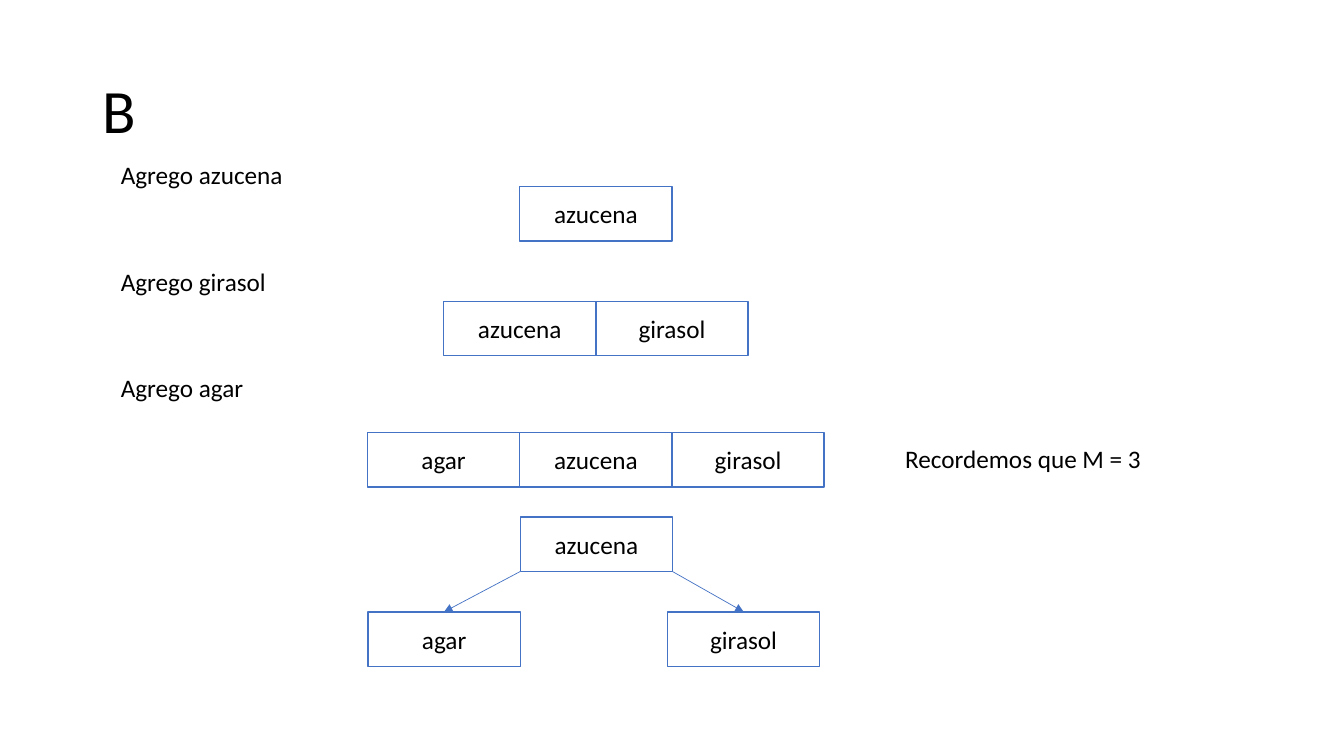
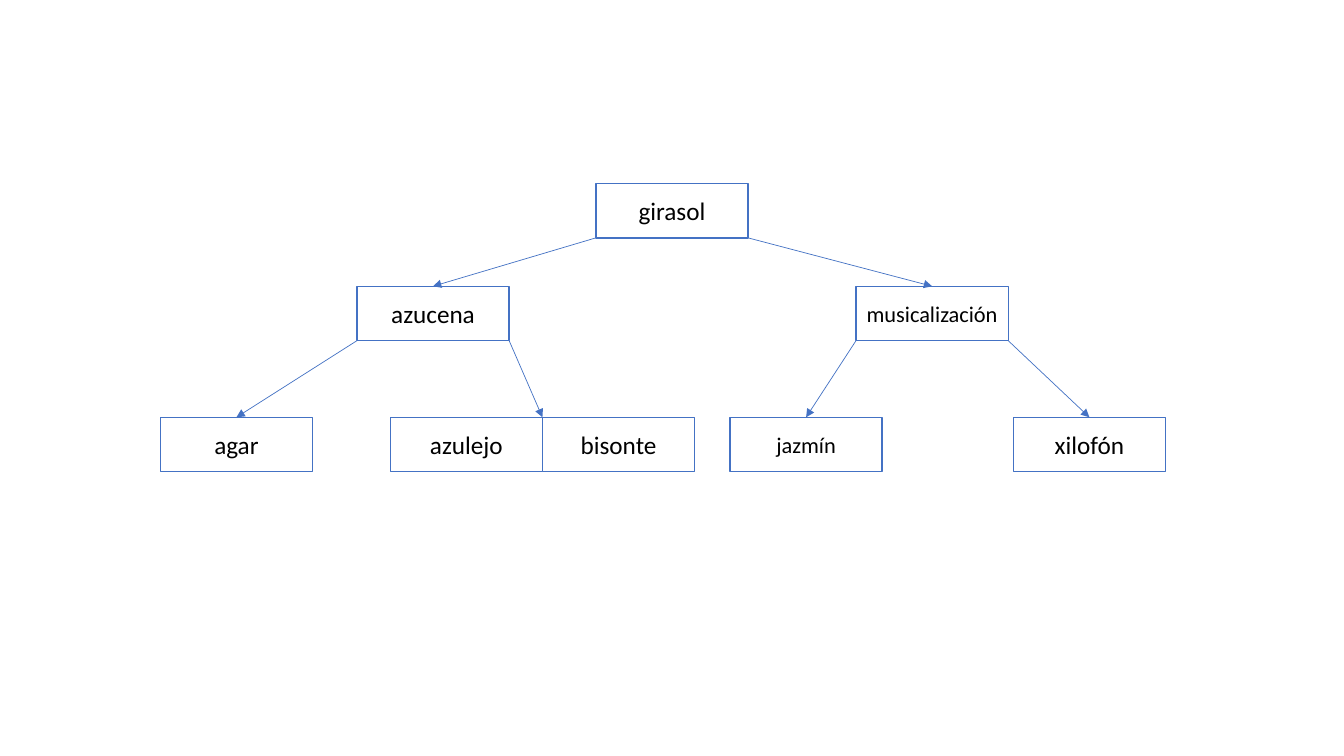
from pptx import Presentation
from pptx.dml.color import RGBColor
from pptx.enum import shapes, text
from pptx.oxml import parse_xml
from pptx.oxml.ns import nsdecls, qn
from pptx.util import Inches, Pt

FONT = "Calibri"
BLACK, WHITE, BLUE = "000000", "FFFFFF", "4472C4"
KEY_WIDTH, KEY_HEIGHT = 1.51, 0.54


def color(hex_value):
    return RGBColor.from_string(hex_value)


def style_paragraph(paragraph, words, size):
    paragraph.text = words
    paragraph.font.name = FONT
    paragraph.font.size = Pt(size)
    paragraph.font.color.rgb = color(BLACK)


def add_label(slide, words, left, top, width):
    box = slide.shapes.add_textbox(Inches(left), Inches(top), Inches(width), Inches(0.4))
    box.text_frame.word_wrap = True
    box.text_frame.auto_size = text.MSO_AUTO_SIZE.SHAPE_TO_FIT_TEXT
    style_paragraph(box.text_frame.paragraphs[0], words, 18)


def add_title(slide, words):
    box = slide.shapes.add_textbox(Inches(0.92), Inches(0.4), Inches(11.5), Inches(1.45))
    box.text_frame.word_wrap = True
    box.text_frame.vertical_anchor = text.MSO_ANCHOR.MIDDLE
    paragraph = box.text_frame.paragraphs[0]
    paragraph.line_spacing = 0.9
    style_paragraph(paragraph, words, 44)


def add_node(slide, keys, left, top, size=18):
    """Draw a B-tree node as adjoining key boxes; return its left, top and width."""
    for index, key in enumerate(keys):
        box = slide.shapes.add_shape(
            shapes.MSO_SHAPE.RECTANGLE, Inches(left + index * KEY_WIDTH), Inches(top),
            Inches(KEY_WIDTH), Inches(KEY_HEIGHT))
        box.shadow.inherit = False
        box.fill.solid()
        box.fill.fore_color.rgb = color(WHITE)
        box.line.color.rgb = color(BLUE)
        box.line.width = Pt(1)
        box.text_frame.word_wrap = True
        box.text_frame.vertical_anchor = text.MSO_ANCHOR.MIDDLE
        paragraph = box.text_frame.paragraphs[0]
        paragraph.alignment = text.PP_ALIGN.CENTER
        style_paragraph(paragraph, key, size)
    return left, top, len(keys) * KEY_WIDTH


def add_arrow(slide, start, end):
    arrow = slide.shapes.add_connector(
        shapes.MSO_CONNECTOR.STRAIGHT, *(Inches(value) for value in (*start, *end)))
    arrow.line.color.rgb = color(BLUE)
    arrow.line.width = Pt(0.5)
    arrow.line._get_or_add_ln().append(
        parse_xml(f'<a:tailEnd {nsdecls("a")} type="triangle"/>'))
    properties = arrow._element.find(qn("p:spPr"))
    properties.append(parse_xml(f'<a:effectLst {nsdecls("a")}/>'))


def link_children(slide, parent, left_child, right_child):
    """Join the parent's lower corners to the top centres of its children."""
    left, top, width = parent
    for corner, child in ((left, left_child), (left + width, right_child)):
        child_left, child_top, child_width = child
        add_arrow(slide, (corner, top + KEY_HEIGHT),
                  (child_left + child_width / 2, child_top))


def build_insertions(slide):
    add_title(slide, "B")
    center = 5.91
    steps = [
        ("Agrego azucena", 1.53, ["azucena"], 1.85),
        ("Agrego girasol", 2.59, ["azucena", "girasol"], 2.99),
        ("Agrego agar", 3.64, ["agar", "azucena", "girasol"], 4.29),
    ]
    for words, label_top, keys, node_top in steps:
        add_label(slide, words, 1.1, label_top, 2.31)
        add_node(slide, keys, center - len(keys) * KEY_WIDTH / 2, node_top)
    add_label(slide, "Recordemos que M = 3", 8.88, 4.35, 2.64)

    root = add_node(slide, ["azucena"], 5.16, 5.13)
    agar = add_node(slide, ["agar"], 3.65, 6.07)
    girasol = add_node(slide, ["girasol"], 6.62, 6.07)
    link_children(slide, root, agar, girasol)


def build_final_tree(slide):
    root_top, middle_top, leaf_top = 1.82, 2.84, 4.14
    root = add_node(slide, ["girasol"], 5.91, root_top)
    azucena = add_node(slide, ["azucena"], 3.54, middle_top)
    musicalizacion = add_node(slide, ["musicalización"], 8.49, middle_top, 16)
    agar = add_node(slide, ["agar"], 1.59, leaf_top)
    azulejo_bisonte = add_node(slide, ["azulejo", "bisonte"], 3.87, leaf_top)
    jazmin = add_node(slide, ["jazmín"], 7.24, leaf_top, 16)
    xilofon = add_node(slide, ["xilofón"], 10.05, leaf_top)
    link_children(slide, root, azucena, musicalizacion)
    link_children(slide, azucena, agar, azulejo_bisonte)
    link_children(slide, musicalizacion, jazmin, xilofon)


def main():
    presentation = Presentation()
    presentation.slide_width = Inches(13.33)
    presentation.slide_height = Inches(7.5)
    blank = presentation.slide_layouts[6]
    for build in (build_insertions, build_final_tree):
        build(presentation.slides.add_slide(blank))
    presentation.save("out.pptx")


if __name__ == "__main__":
    main()
